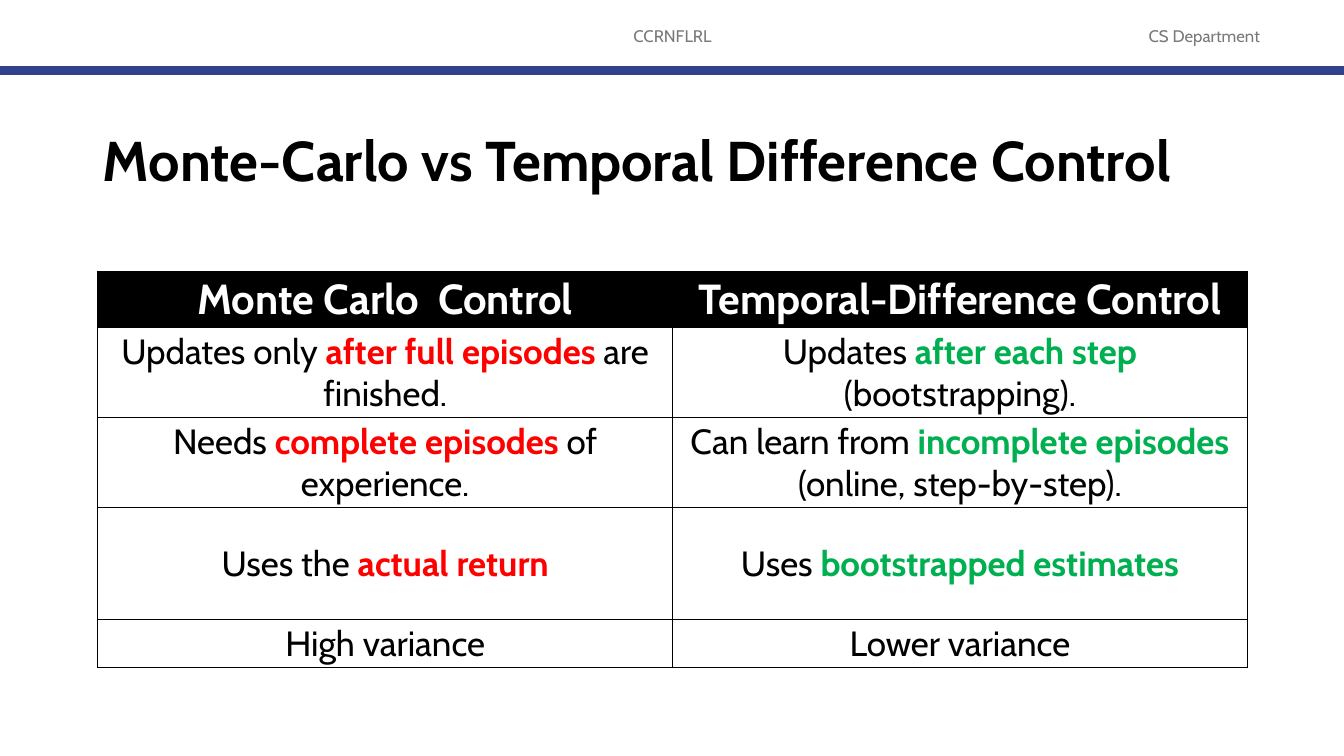
import pptx
import pptx.dml.color
import pptx.enum.shapes
import pptx.enum.text
import pptx.oxml
import pptx.oxml.ns
import pptx.util
from pptx.util import Inches

FONT = "Cabin"
CENTER = pptx.enum.text.PP_ALIGN.CENTER
LEFT = pptx.enum.text.PP_ALIGN.LEFT
MIDDLE = pptx.enum.text.MSO_ANCHOR.MIDDLE


def color(value):
    return pptx.dml.color.RGBColor.from_string(value)


def style_paragraph(paragraph, size, hex_color, bold, alignment):
    paragraph.alignment = alignment
    paragraph.font.name = FONT
    paragraph.font.size = pptx.util.Pt(size)
    paragraph.font.bold = bold
    paragraph.font.color.rgb = color(hex_color)


presentation = pptx.Presentation()
presentation.slide_width = Inches(13.33)
presentation.slide_height = Inches(7.5)
slide = presentation.slides.add_slide(presentation.slide_layouts[6])

text_boxes = [
    ("CCRNFLRL", (4.42, 0.17, 4.5, 0.4), 12, "797979", False, CENTER),
    ("CS Department", (10.92, 0.17, 2.05, 0.4), 12, "797979", False, CENTER),
    ("Monte-Carlo vs Temporal Difference Control", (0.92, 0.9, 11.5, 1.45), 40, "000000", True, LEFT),
]
for text, box, size, hex_color, bold, alignment in text_boxes:
    text_frame = slide.shapes.add_textbox(*map(Inches, box)).text_frame
    text_frame.word_wrap = True
    text_frame.vertical_anchor = MIDDLE
    paragraph = text_frame.paragraphs[0]
    paragraph.text = text
    paragraph.line_spacing = 0.9
    style_paragraph(paragraph, size, hex_color, bold, alignment)

header_rule = slide.shapes.add_connector(
    pptx.enum.shapes.MSO_CONNECTOR.STRAIGHT, 0, Inches(0.7), Inches(13.33), Inches(0.7)
)
header_rule.line.color.rgb = color("32418C")
header_rule.line.width = pptx.util.Pt(6)
header_rule._element.spPr.append(pptx.oxml.parse_xml(f"<a:effectLst {pptx.oxml.ns.nsdecls('a')}/>"))

comparison = [
    [["Monte Carlo  Control"], ["Temporal-Difference Control"]],
    [
        ["Updates only ", "after full episodes ", "are finished."],
        ["Updates ", "after each step ", "(bootstrapping)."],
    ],
    [
        ["Needs ", "complete episodes ", "of experience."],
        ["Can learn from ", "incomplete episodes ", "(online, step-by-step)."],
    ],
    [["Uses the ", "actual return"], ["Uses ", "bootstrapped estimates"]],
    [["High variance"], ["Lower variance"]],
]
row_heights = [0.56, 0.89, 0.89, 1.11, 0.47]
highlight_colors = ["FF0000", "00B050"]

table = slide.shapes.add_table(
    len(comparison), 2, Inches(0.97), Inches(2.69), Inches(11.4), Inches(sum(row_heights))
).table
table.horz_banding = False
for column in table.columns:
    column.width = Inches(5.7)

for row_index, row in enumerate(comparison):
    table.rows[row_index].height = Inches(row_heights[row_index])
    is_header = row_index == 0
    for column_index, parts in enumerate(row):
        cell = table.cell(row_index, column_index)
        cell.vertical_anchor = MIDDLE
        cell.margin_left = cell.margin_right = Inches(0.05)
        cell.margin_top = cell.margin_bottom = Inches(0.03)
        for side in ("lnL", "lnR", "lnT", "lnB"):
            cell._tc.get_or_add_tcPr().append(pptx.oxml.parse_xml(
                f'<a:{side} {pptx.oxml.ns.nsdecls("a")} w="12700"><a:solidFill>'
                f'<a:srgbClr val="000000"/></a:solidFill></a:{side}>'
            ))
        if is_header:
            cell.fill.solid()
            cell.fill.fore_color.rgb = color("000000")
        else:
            cell.fill.background()

        paragraph = cell.text_frame.paragraphs[0]
        style_paragraph(
            paragraph, 30 if is_header else 25, "FFFFFF" if is_header else "000000", is_header, CENTER
        )
        for part_index, part in enumerate(parts):
            run = paragraph.add_run()
            run.text = part
            if part_index == 1:
                run.font.bold = True
                run.font.color.rgb = color(highlight_colors[column_index])

presentation.save("out.pptx")
